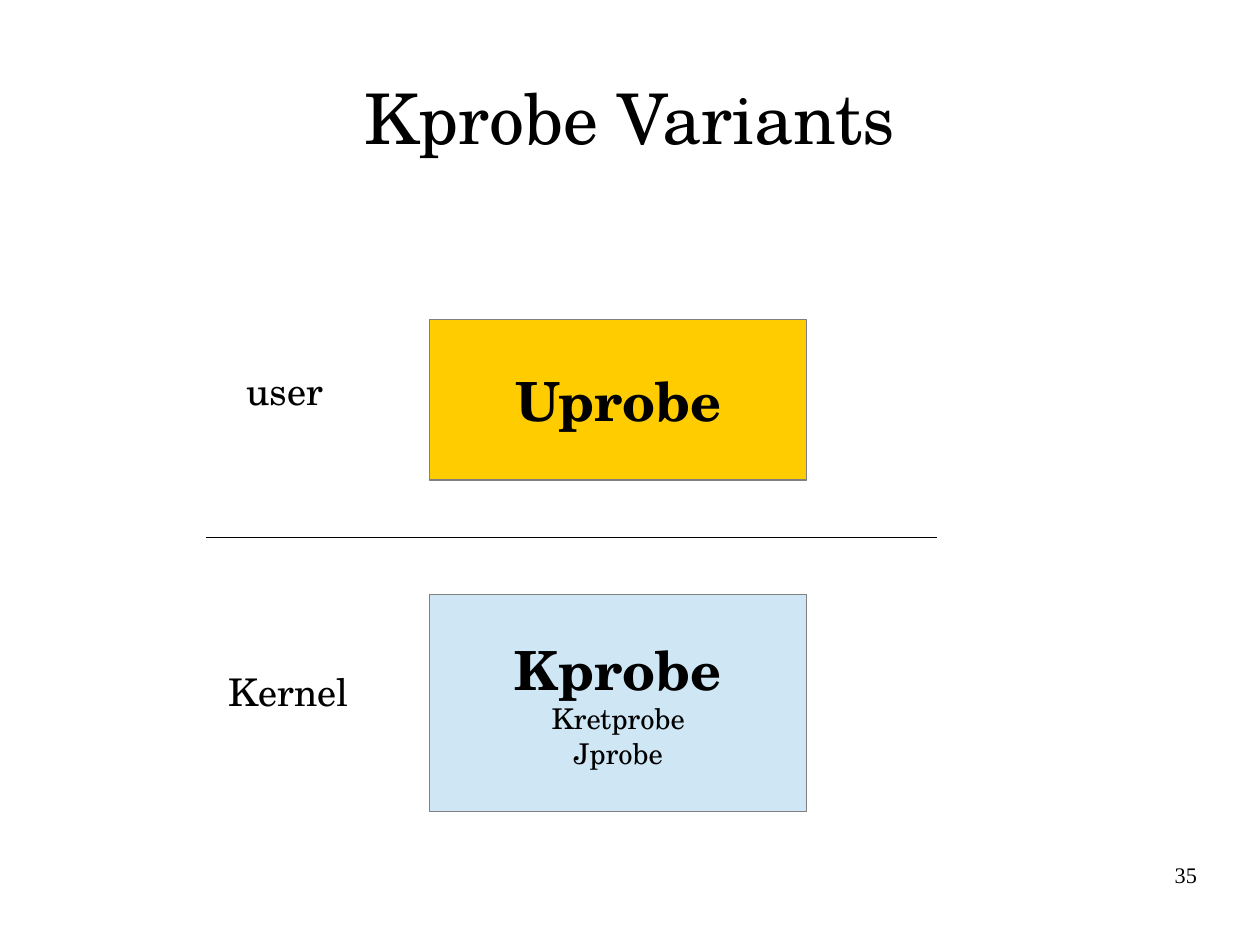
from pptx import Presentation
from pptx.dml.color import RGBColor
from pptx.enum.shapes import MSO_CONNECTOR, MSO_SHAPE
from pptx.enum.text import MSO_ANCHOR, PP_ALIGN
from pptx.oxml.ns import qn
from pptx.util import Cm, Pt
from lxml import etree

COLORS = {"text": "000000", "border": "808080", "user": "FFCC00", "kernel": "CFE7F5"}
SERIF = "TeX Gyre Schola"
INSETS = (0.25, 0.13, 0.25, 0.13)
SIDES = ("margin_left", "margin_top", "margin_right", "margin_bottom")


def rgb(name):
    return RGBColor.from_string(COLORS[name])


def write(sp, lines, align, anchor, insets, wrap, font=SERIF):
    tf = sp.text_frame
    frame = dict(zip(SIDES, map(Cm, insets)), vertical_anchor=anchor, word_wrap=wrap)
    for key, value in frame.items():
        setattr(tf, key, value)
    for i, (text, size, bold) in enumerate(lines):
        p = tf.add_paragraph() if i else tf.paragraphs[0]
        p.alignment = align
        r = p.add_run()
        r.text = text
        for key, value in {"name": font, "size": Pt(size), "bold": bold}.items():
            setattr(r.font, key, value)
        r.font.color.rgb = rgb("text")


prs = Presentation()
prs.slide_width, prs.slide_height = Cm(28), Cm(21)
s = prs.slides.add_slide(prs.slide_layouts[5])

title = s.shapes.title
place = {"left": 1.4, "top": 0.84, "width": 25.2, "height": 3.5}
for key, value in place.items():
    setattr(title, key, Cm(value))
write(title, [("Kprobe Variants", 44, False)], PP_ALIGN.CENTER,
      MSO_ANCHOR.MIDDLE, (0, 0, 0, 0), True)

divider = s.shapes.add_connector(
    MSO_CONNECTOR.STRAIGHT, Cm(4.57), Cm(11.94), Cm(20.83), Cm(11.94))
divider.line.color.rgb = rgb("text")
divider.line.width = Pt(0.71)
etree.SubElement(divider._element.spPr, qn("a:effectLst"))

labels = [("Kernel", 4.83, 14.73, 3.2), ("user", 5.23, 8.03, 2.26)]
for text, left, top, width in labels:
    sp = s.shapes.add_textbox(Cm(left), Cm(top), Cm(width), Cm(1.4))
    write(sp, [(text, 24, False)], PP_ALIGN.LEFT, MSO_ANCHOR.TOP, INSETS, False)

boxes = [
    ("kernel", 13.21, 4.83,
     [("Kprobe", 34, True), ("Kretprobe", 18, False), ("Jprobe", 18, False)]),
    ("user", 7.11, 3.56, [("Uprobe", 34, True)]),
]
for fill, top, height, lines in boxes:
    sp = s.shapes.add_shape(
        MSO_SHAPE.RECTANGLE, Cm(9.55), Cm(top), Cm(8.38), Cm(height))
    sp.shadow.inherit = False
    sp.fill.solid()
    sp.fill.fore_color.rgb = rgb(fill)
    sp.line.color.rgb = rgb("border")
    sp.line.width = Pt(0.71)
    write(sp, lines, PP_ALIGN.CENTER, MSO_ANCHOR.MIDDLE, INSETS, False)

number = s.shapes.add_textbox(Cm(20.07), Cm(19.13), Cm(6.53), Cm(1.45))
write(number, [("35", 14, False)], PP_ALIGN.RIGHT, MSO_ANCHOR.TOP,
      (0, 0, 0, 0), True, "Times New Roman")

prs.save("out.pptx")
